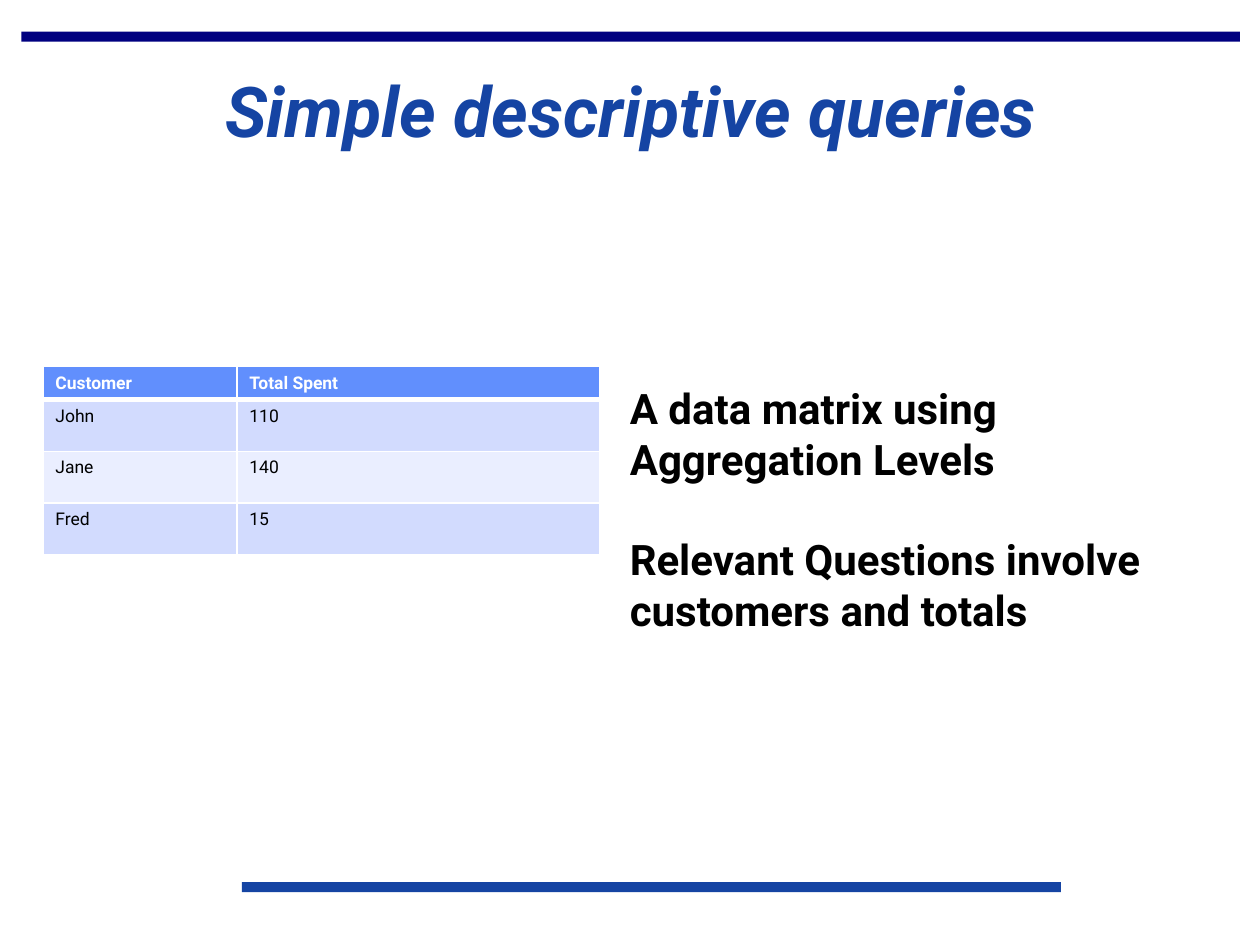
"""Build the slide on simple descriptive queries: a totals table and its reading."""
import pptx
import pptx.dml.color
import pptx.enum.shapes
import pptx.enum.text
import pptx.oxml
import pptx.oxml.ns
import pptx.util
from pptx.util import Inches

TITLE = "Simple descriptive queries"
TOTALS = [
    ("Customer", "Total Spent"),
    ("John", "110"),
    ("Jane", "140"),
    ("Fred", "15"),
]
REMARKS = [
    ("A data matrix using", "Aggregation Levels"),
    ("Relevant Questions involve", "customers and totals"),
]
THEME = {
    "font": "Roboto",
    "navy": "000080", "blue": "1544A3", "header": "618FFD",
    "bands": ("D2DBFE", "EAEEFF"), "ink": "000000", "white": "FFFFFF",
    "title_size": 40, "remark_size": 24, "cell_size": 10, "remark_gap": 28.5,
}
RULES = [(0.17, 0.25, 9.67, "navy"), (1.92, 7, 6.5, "blue")]
RULE_HEIGHT = 0.08
COLUMN_WIDTHS = (1.54, 2.88)
ROW_HEIGHTS = (0.15, 0.41, 0.41, 0.41)


def rgb(value):
    return pptx.dml.color.RGBColor.from_string(value)


def add_run(paragraph, text, size, color, bold=False, italic=False):
    run = paragraph.add_run()
    run.text = text
    run.font.name = THEME["font"]
    run.font.size = pptx.util.Pt(size)
    run.font.bold = bold
    run.font.italic = italic
    run.font.color.rgb = rgb(color)


def add_rule(slide, left, top, width, color):
    rule = slide.shapes.add_shape(
        pptx.enum.shapes.MSO_SHAPE.RECTANGLE,
        Inches(left), Inches(top), Inches(width), Inches(RULE_HEIGHT))
    rule.shadow.inherit = False
    rule.fill.solid()
    rule.fill.fore_color.rgb = rgb(THEME[color])
    rule.line.fill.background()


def set_title(slide):
    title = slide.shapes.title
    title.left, title.top = Inches(0.17), Inches(0.33)
    title.width, title.height = Inches(9.67), Inches(1.14)
    title.text_frame.vertical_anchor = pptx.enum.text.MSO_ANCHOR.MIDDLE
    heading = title.text_frame.paragraphs[0]
    heading.alignment = pptx.enum.text.PP_ALIGN.CENTER
    heading.line_spacing = 0.95
    add_run(heading, TITLE, THEME["title_size"], THEME["blue"], True, True)


def set_borders(cell, bottom_width):
    properties = cell._tc.get_or_add_tcPr()
    for position, side in enumerate("LRTB"):
        width = pptx.util.Pt(bottom_width if side == "B" else 1)
        properties.insert(position, pptx.oxml.parse_xml(
            f'<a:ln{side} {pptx.oxml.ns.nsdecls("a")} w="{width}"><a:solidFill>'
            f'<a:srgbClr val="{THEME["white"]}"/></a:solidFill></a:ln{side}>'))


def add_totals(slide):
    table = slide.shapes.add_table(
        len(TOTALS), len(COLUMN_WIDTHS), Inches(0.34), Inches(2.91),
        Inches(sum(COLUMN_WIDTHS)), Inches(sum(ROW_HEIGHTS))).table
    for column, width in zip(table.columns, COLUMN_WIDTHS):
        column.width = Inches(width)
    for index, (values, height) in enumerate(zip(TOTALS, ROW_HEIGHTS)):
        table.rows[index].height = Inches(height)
        is_header = index == 0
        fill = THEME["header"] if is_header else THEME["bands"][(index - 1) % 2]
        color = THEME["white"] if is_header else THEME["ink"]
        for cell, value in zip(table.rows[index].cells, values):
            cell.fill.solid()
            cell.fill.fore_color.rgb = rgb(fill)
            set_borders(cell, 3 if is_header else 1)
            add_run(cell.text_frame.paragraphs[0], value,
                    THEME["cell_size"], color, is_header)


def add_remarks(slide):
    frame = slide.shapes.add_textbox(
        Inches(4.9), Inches(2.99), Inches(4.6), Inches(2.52)).text_frame
    frame.word_wrap = False
    for group, lines in enumerate(REMARKS):
        for position, line in enumerate(lines):
            is_first = group == 0 and position == 0
            paragraph = frame.paragraphs[0] if is_first else frame.add_paragraph()
            if group and position == 0:
                paragraph.space_before = pptx.util.Pt(THEME["remark_gap"])
            add_run(paragraph, line, THEME["remark_size"], THEME["ink"], True)


def main():
    presentation = pptx.Presentation()
    presentation.slide_width, presentation.slide_height = Inches(10), Inches(7.5)
    slide = presentation.slides.add_slide(presentation.slide_layouts[5])
    for rule in RULES:
        add_rule(slide, *rule)
    set_title(slide)
    add_totals(slide)
    add_remarks(slide)
    presentation.save("out.pptx")


if __name__ == "__main__":
    main()
